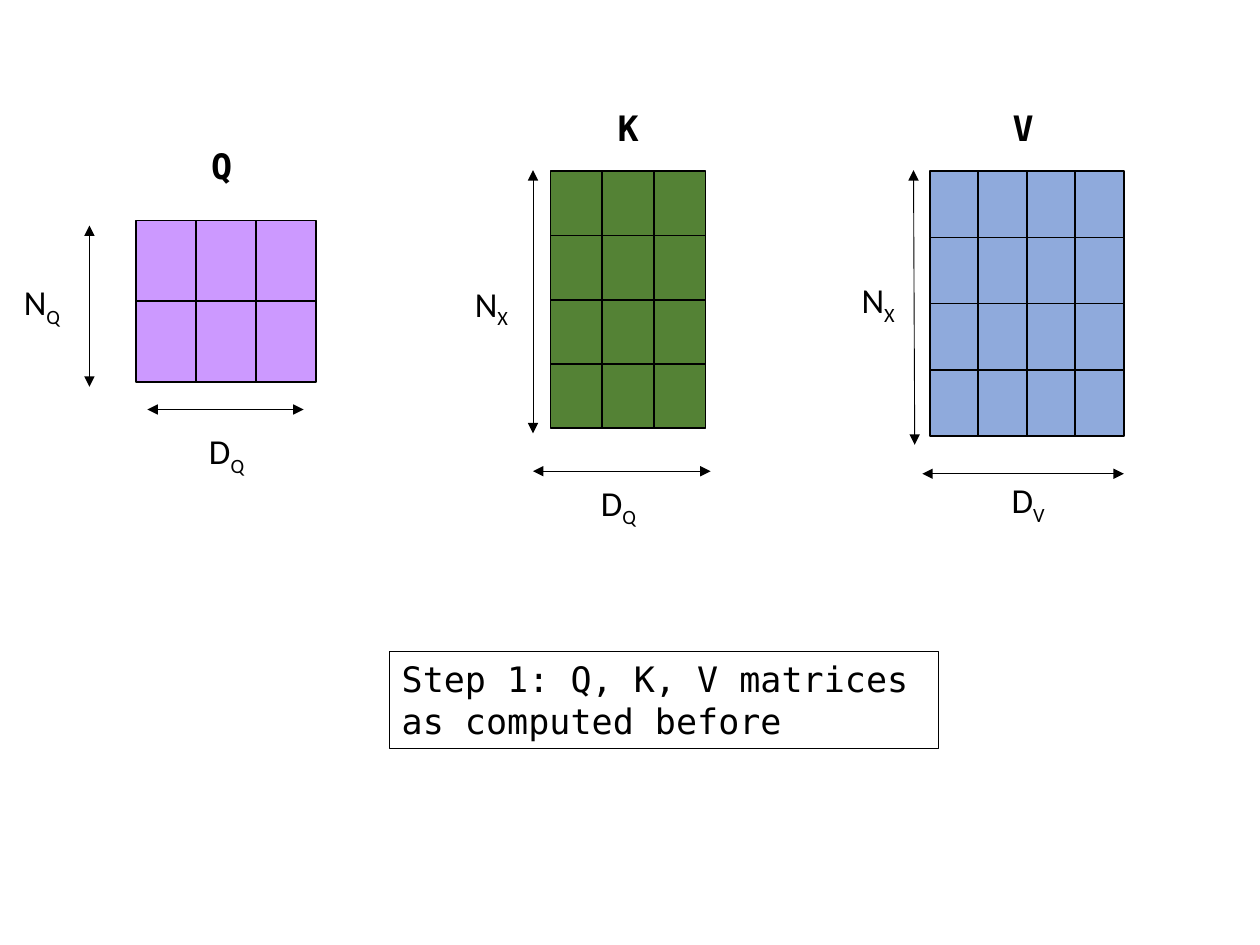
from dataclasses import dataclass

from lxml.etree import SubElement
from pptx import Presentation
from pptx.dml.color import RGBColor as Rgb
from pptx.enum.shapes import MSO_CONNECTOR as Connector, MSO_SHAPE as Shape
from pptx.enum.text import MSO_ANCHOR as Anchor, PP_ALIGN as Align
from pptx.oxml.ns import qn
from pptx.util import Inches, Pt

COLORS = {"ink": "000000", "query": "CC99FF", "key": "548235", "value": "8FAADC"}
FONTS = {"mono": "DejaVu Sans Mono", "label": "Calibri"}


@dataclass
class Matrix:
    """One matrix with its grid, heading and two dimensions, in inches."""
    name: str
    color: str
    rows: int
    cols: int
    grid: tuple
    heading: tuple
    height_arrow: tuple
    height_label: tuple
    width_arrow: tuple
    width_label: tuple


MATRICES = [
    Matrix("K", "key", 4, 3, (4.37, 1.36, 1.23, 2.04), (4.26, 0.8, 1.45, 0.44),
           (4.23, 1.35, 4.23, 3.44), ("N", "X", (3.67, 2.19, 0.86, 0.44)),
           (4.23, 3.74, 5.64, 3.74), ("D", "Q", (4.67, 3.77, 0.62, 0.44))),
    Matrix("V", "value", 4, 4, (7.38, 1.36, 1.54, 2.1), (7.43, 0.8, 1.38, 0.44),
           (7.25, 1.35, 7.26, 3.53), ("N", "X", (6.74, 2.16, 0.7, 0.44)),
           (7.32, 3.76, 8.92, 3.76), ("D", "V", (7.93, 3.75, 0.59, 0.44))),
    Matrix("Q", "query", 2, 3, (1.08, 1.75, 1.43, 1.28), (0.93, 1.1, 1.66, 0.44),
           (0.71, 1.79, 0.71, 3.07), ("N", "Q", (0.09, 2.18, 0.85, 0.44)),
           (1.17, 3.25, 2.41, 3.25), ("D", "Q", (1.56, 3.36, 0.71, 0.44))),
]


def rgb(name):
    """Look up a colour by its role."""
    return Rgb.from_string(COLORS[name])


def inches(lengths):
    """Convert a sequence of numbers to lengths."""
    return [Inches(length) for length in lengths]


def style_run(run, font, bold=False):
    """Give a run the common text style."""
    run.font.name = FONTS[font]
    run.font.size = Pt(20)
    run.font.bold = bold
    run.font.color.rgb = rgb("ink")


def add_box(shapes, box, line_width, fill=None):
    """Add an outlined rectangle."""
    rectangle = shapes.add_shape(Shape.RECTANGLE, *inches(box))
    rectangle.shadow.inherit = False
    if fill:
        rectangle.fill.solid()
        rectangle.fill.fore_color.rgb = rgb(fill)
    else:
        rectangle.fill.background()
    rectangle.line.color.rgb = rgb("ink")
    rectangle.line.width = Pt(line_width)
    return rectangle


def add_grid(shapes, matrix):
    """Divide the matrix area into equal cells."""
    left, top, width, height = matrix.grid
    cell_width, cell_height = width / matrix.cols, height / matrix.rows
    for row in range(matrix.rows):
        for col in range(matrix.cols):
            cell = (left + col * cell_width, top + row * cell_height,
                    cell_width, cell_height)
            add_box(shapes, cell, 1, matrix.color)


def add_heading(shapes, name, box):
    """Add the bold matrix name."""
    frame = shapes.add_textbox(*inches(box)).text_frame
    frame.word_wrap = True
    frame.text = name
    frame.paragraphs[0].alignment = Align.CENTER
    style_run(frame.paragraphs[0].runs[0], "mono", bold=True)


def add_dimension(shapes, ends, label):
    """Add a double-headed arrow and its subscripted label."""
    arrow = shapes.add_connector(Connector.STRAIGHT, *inches(ends))
    arrow.line.color.rgb = rgb("ink")
    arrow.line.width = Pt(0.5)
    outline = arrow.line._get_or_add_ln()
    for end in ("a:headEnd", "a:tailEnd"):
        SubElement(outline, qn(end), type="triangle")
    SubElement(arrow._element.spPr, qn("a:effectLst"))

    symbol, subscript, box = label
    frame = shapes.add_textbox(*inches(box)).text_frame
    frame.word_wrap = True
    for part in (symbol, subscript):
        run = frame.paragraphs[0].add_run()
        run.text = part
        style_run(run, "label")
    run.font._element.set("baseline", "-25000")


def add_matrix(slide, matrix):
    """Add a matrix and its annotations as one group."""
    shapes = slide.shapes.add_group_shape().shapes
    add_grid(shapes, matrix)
    add_heading(shapes, matrix.name, matrix.heading)
    add_dimension(shapes, matrix.height_arrow, matrix.height_label)
    add_dimension(shapes, matrix.width_arrow, matrix.width_label)


def add_step(slide, wording, box):
    """Add the framed step description."""
    frame = add_box(slide.shapes, box, 0.75).text_frame
    frame.word_wrap = True
    frame.vertical_anchor = Anchor.TOP
    frame.text = wording
    frame.paragraphs[0].alignment = Align.LEFT
    style_run(frame.paragraphs[0].runs[0], "mono")


def main():
    """Build and save the slide."""
    deck = Presentation()
    deck.slide_width, deck.slide_height = Inches(10), Inches(7.5)
    slide = deck.slides.add_slide(deck.slide_layouts[6])
    for matrix in MATRICES:
        add_matrix(slide, matrix)
    add_step(slide, "Step 1: Q, K, V matrices as computed before",
             (3.09, 5.17, 4.36, 0.77))
    deck.save("out.pptx")


if __name__ == "__main__":
    main()
